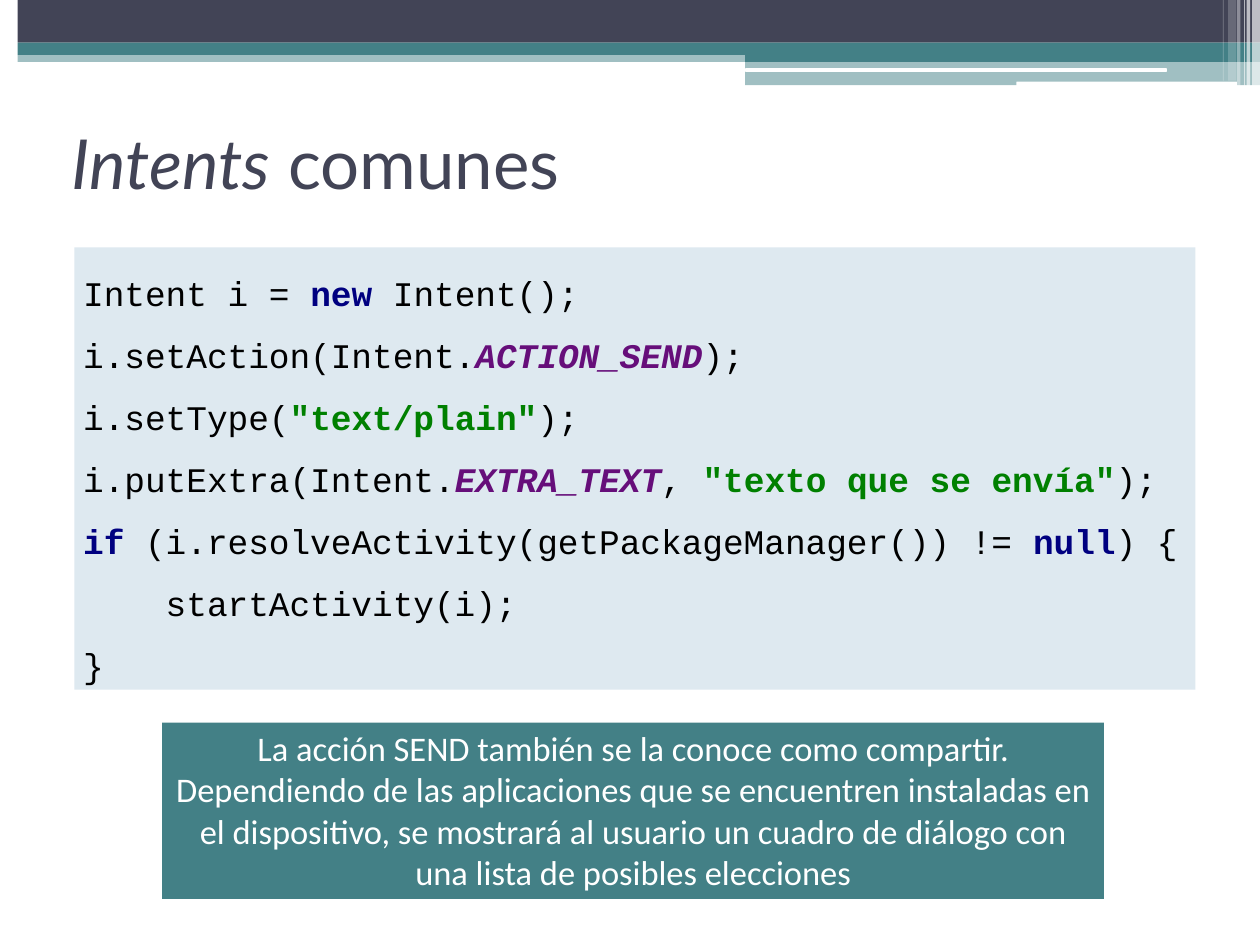
from lxml import etree
from pptx import Presentation
from pptx.dml.color import RGBColor
from pptx.enum import shapes, text
from pptx.oxml.ns import qn
from pptx.util import Inches, Pt

TEAL = RGBColor(0x43, 0x80, 0x86)
SLATE = RGBColor(0x42, 0x44, 0x56)
PALE_BLUE = RGBColor(0xDE, 0xE9, 0xF0)
WHITE = RGBColor(0xFF, 0xFF, 0xFF)
BLACK = RGBColor(0x00, 0x00, 0x00)
NAVY = RGBColor(0x00, 0x00, 0x80)
PURPLE = RGBColor(0x66, 0x0E, 0x7A)
GREEN = RGBColor(0x00, 0x80, 0x00)

RECT = shapes.MSO_SHAPE.RECTANGLE
ROUND = shapes.MSO_SHAPE.ROUNDED_RECTANGLE

prs = Presentation()
prs.slide_width, prs.slide_height = Inches(14.22), Inches(10.66)
slide = prs.slides.add_slide(prs.slide_layouts[6])


def add_block(left, top, width, height, color, opacity=100, kind=RECT):
    """Add a borderless filled shape; opacity is in percent."""
    block = slide.shapes.add_shape(
        kind, Inches(left), Inches(top), Inches(width), Inches(height))
    block.shadow.inherit = False
    block.line.fill.background()
    block.fill.solid()
    block.fill.fore_color.rgb = color
    if opacity < 100:
        srgb = block._element.spPr.find(qn("a:solidFill")).find(qn("a:srgbClr"))
        etree.SubElement(srgb, qn("a:alpha")).set("val", str(opacity * 1000))
    return block


def add_run(paragraph, words, font, size, color, bold=False, italic=False):
    run = paragraph.add_run()
    run.text = words
    run.font.name, run.font.size = font, Pt(size)
    run.font.color.rgb = color
    run.font.bold, run.font.italic = bold, italic


# Header bands
add_block(0, 0.57, 14.22, 0.13, TEAL, 50)
add_block(0, 0, 14.22, 0.48, SLATE)
add_block(0, 0.48, 14.22, 0.14, TEAL)
add_block(8.41, 0.56, 5.81, 0.14, TEAL)
add_block(8.41, 0.68, 5.81, 0.28, TEAL, 50)
add_block(8.41, 0.77, 4.76, 0.04, WHITE, kind=ROUND)
add_block(11.47, 0.92, 2.49, 0.06, WHITE, kind=ROUND)

# Translucent stripes at the right edge: left, width, height, opacity
stripes = [
    (14.13, 0.09, 0.97, 65),
    (14.07, 0.04, 0.97, 65),
    (14.04, 0.01, 0.97, 60),
    (13.96, 0.04, 0.97, 40),
    (13.86, 0.09, 0.91, 20),
    (13.8, 0.01, 0.91, 30),
]
for left, width, height, opacity in stripes:
    add_block(left, 0, width, height, WHITE, opacity)

# Title
title = slide.shapes.add_textbox(
    Inches(0.71), Inches(1), Inches(12.8), Inches(1.66)).text_frame
title.word_wrap = True
title.vertical_anchor = text.MSO_ANCHOR.MIDDLE
add_run(title.paragraphs[0], "Intents", "Lato", 56, SLATE, italic=True)
add_run(title.paragraphs[0], " comunes", "Lato", 56, SLATE)

# Code listing: token style is (colour, bold, italic)
PLAIN = (BLACK, False, False)
KEYWORD = (NAVY, True, False)
CONSTANT = (PURPLE, True, True)
STRING = (GREEN, True, False)
code_lines = [
    [("Intent i = ", PLAIN), ("new ", KEYWORD), ("Intent();", PLAIN)],
    [("i.setAction(Intent.", PLAIN), ("ACTION_SEND", CONSTANT), (");", PLAIN)],
    [("i.setType(", PLAIN), ('"text/plain"', STRING), (");", PLAIN)],
    [("i.putExtra(Intent.", PLAIN), ("EXTRA_TEXT", CONSTANT), (", ", PLAIN),
     ('"texto que se envía"', STRING), (");", PLAIN)],
    [("if ", KEYWORD), ("(i.resolveActivity(getPackageManager()) != ", PLAIN),
     ("null", KEYWORD), (") {", PLAIN)],
    [("    startActivity(i);", PLAIN)],
    [("}", PLAIN)],
]
code = add_block(0.84, 2.79, 12.65, 4.99, PALE_BLUE).text_frame
code.word_wrap = False
code.vertical_anchor = text.MSO_ANCHOR.MIDDLE
for number, tokens in enumerate(code_lines):
    line = code.add_paragraph() if number else code.paragraphs[0]
    line.alignment = text.PP_ALIGN.LEFT
    line.line_spacing = 1.5
    for words, style in tokens:
        add_run(line, words, "Courier New", 28, *style)

# White margin over the left end of the header
add_block(0, 0, 0.2, 0.76, WHITE)

# Explanation
explanation = add_block(1.83, 8.15, 10.63, 1.99, TEAL).text_frame
explanation.word_wrap = True
explanation.vertical_anchor = text.MSO_ANCHOR.TOP
explanation.paragraphs[0].alignment = text.PP_ALIGN.CENTER
add_run(explanation.paragraphs[0],
        "La acción SEND también se la conoce como compartir. Dependiendo de las "
        "aplicaciones que se encuentren instaladas en el dispositivo, se mostrará "
        "al usuario un cuadro de diálogo con una lista de posibles elecciones",
        "Calibri", 28, WHITE)

prs.save("out.pptx")
